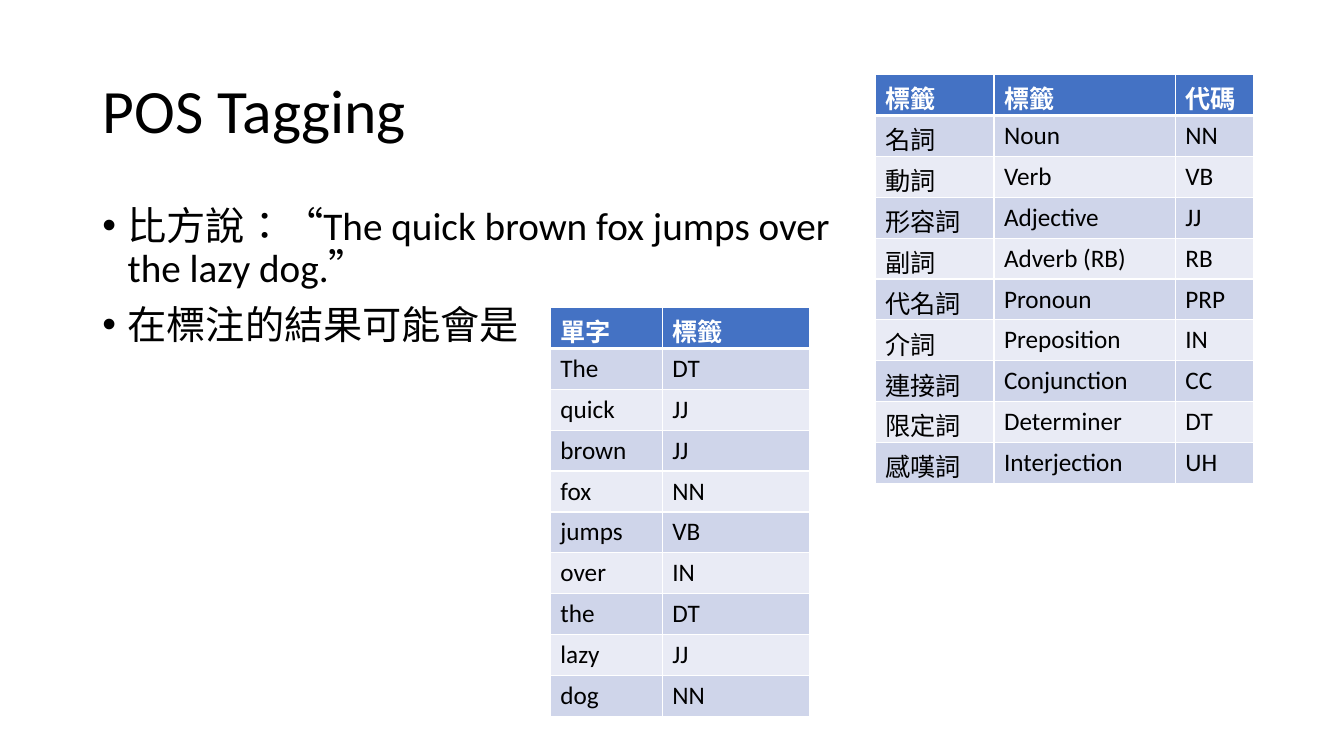
from lxml.etree import SubElement
from pptx import Presentation
from pptx.dml.color import RGBColor
from pptx.enum.lang import MSO_LANGUAGE_ID
from pptx.enum.text import MSO_ANCHOR, PP_ALIGN
from pptx.oxml.ns import qn
from pptx.util import Cm, Pt

TITLE = "POS Tagging"
POINTS = [
    "比方說：“The quick brown fox jumps over the lazy dog.”",
    "在標注的結果可能會是",
]
TAG_CODES = [
    ("標籤", "標籤", "代碼"),
    ("名詞", "Noun", "NN"),
    ("動詞", "Verb", "VB"),
    ("形容詞", "Adjective", "JJ"),
    ("副詞", "Adverb (RB)", "RB"),
    ("代名詞", "Pronoun", "PRP"),
    ("介詞", "Preposition", "IN"),
    ("連接詞", "Conjunction", "CC"),
    ("限定詞", "Determiner", "DT"),
    ("感嘆詞", "Interjection", "UH"),
]
TAGGED_WORDS = [
    ("單字", "標籤"),
    ("The", "DT"),
    ("quick", "JJ"),
    ("brown", "JJ"),
    ("fox", "NN"),
    ("jumps", "VB"),
    ("over", "IN"),
    ("the", "DT"),
    ("lazy", "JJ"),
    ("dog", "NN"),
]
TABLES = [
    (TAG_CODES, (22.05, 1.88), (3, 4.57, 1.96)),
    (TAGGED_WORDS, (13.87, 7.75), (2.82, 3.71)),
]
ROW_HEIGHT = 1.03
BLACK, WHITE, HEADER = "000000", "FFFFFF", "4472C4"
BANDS = ("E9EBF5", "CFD5EA")


def color(value):
    return RGBColor.from_string(value)


def set_all(target, values):
    for name, value in values.items():
        setattr(target, name, value)


def write(paragraph, words, size, ink=BLACK, bold=False):
    run = paragraph.add_run()
    run.text = words
    set_all(run.font, {
        "name": "Calibri", "size": Pt(size), "bold": bold,
        "language_id": MSO_LANGUAGE_ID.TRADITIONAL_CHINESE,
    })
    run.font.color.rgb = color(ink)


def add_borders(cell, bottom):
    properties = cell._tc.get_or_add_tcPr()
    for side, width in (("L", 1), ("R", 1), ("T", 1), ("B", bottom)):
        line = SubElement(properties, qn(f"a:ln{side}"), w=str(Pt(width)))
        SubElement(SubElement(line, qn("a:solidFill")), qn("a:srgbClr"), val=WHITE)


def add_word_table(slide, rows, corner, widths):
    frame = slide.shapes.add_table(
        len(rows), len(widths), *map(Cm, corner), Cm(sum(widths)), Cm(ROW_HEIGHT * len(rows)))
    table = frame.table
    for column, width in zip(table.columns, widths):
        column.width = Cm(width)
    for r, row in enumerate(rows):
        table.rows[r].height = Cm(ROW_HEIGHT)
        heading = r == 0
        for c, words in enumerate(row):
            cell = table.cell(r, c)
            add_borders(cell, 3 if heading else 1)
            cell.fill.solid()
            cell.fill.fore_color.rgb = color(HEADER if heading else BANDS[r % 2])
            write(cell.text_frame.paragraphs[0], words, 18, WHITE if heading else BLACK, heading)


def add_points(slide):
    frame = slide.shapes.add_textbox(Cm(2.33), Cm(5.08), Cm(19.1), Cm(12.09)).text_frame
    frame.word_wrap = True
    for i, words in enumerate(POINTS):
        point = frame.add_paragraph() if i else frame.paragraphs[0]
        set_all(point, {"line_spacing": 0.9, "space_before": Pt(10 if i else 0)})
        properties = point._p.get_or_add_pPr()
        properties.set("marL", str(Cm(0.64)))
        properties.set("indent", str(-Cm(0.64)))
        SubElement(properties, qn("a:buFont"), typeface="Arial")
        SubElement(properties, qn("a:buChar"), char="•")
        write(point, words, 28)


def main():
    deck = Presentation()
    set_all(deck, {"slide_width": Cm(33.87), "slide_height": Cm(19.05)})
    slide = deck.slides.add_slide(deck.slide_layouts[5])
    title = slide.shapes.title
    set_all(title, {"left": Cm(2.33), "top": Cm(1.01), "width": Cm(29.21), "height": Cm(3.68)})
    title.text_frame.vertical_anchor = MSO_ANCHOR.MIDDLE
    heading = title.text_frame.paragraphs[0]
    set_all(heading, {"alignment": PP_ALIGN.LEFT, "line_spacing": 0.9})
    write(heading, TITLE, 44)
    add_points(slide)
    for rows, corner, widths in TABLES:
        add_word_table(slide, rows, corner, widths)
    deck.save("out.pptx")


if __name__ == "__main__":
    main()
